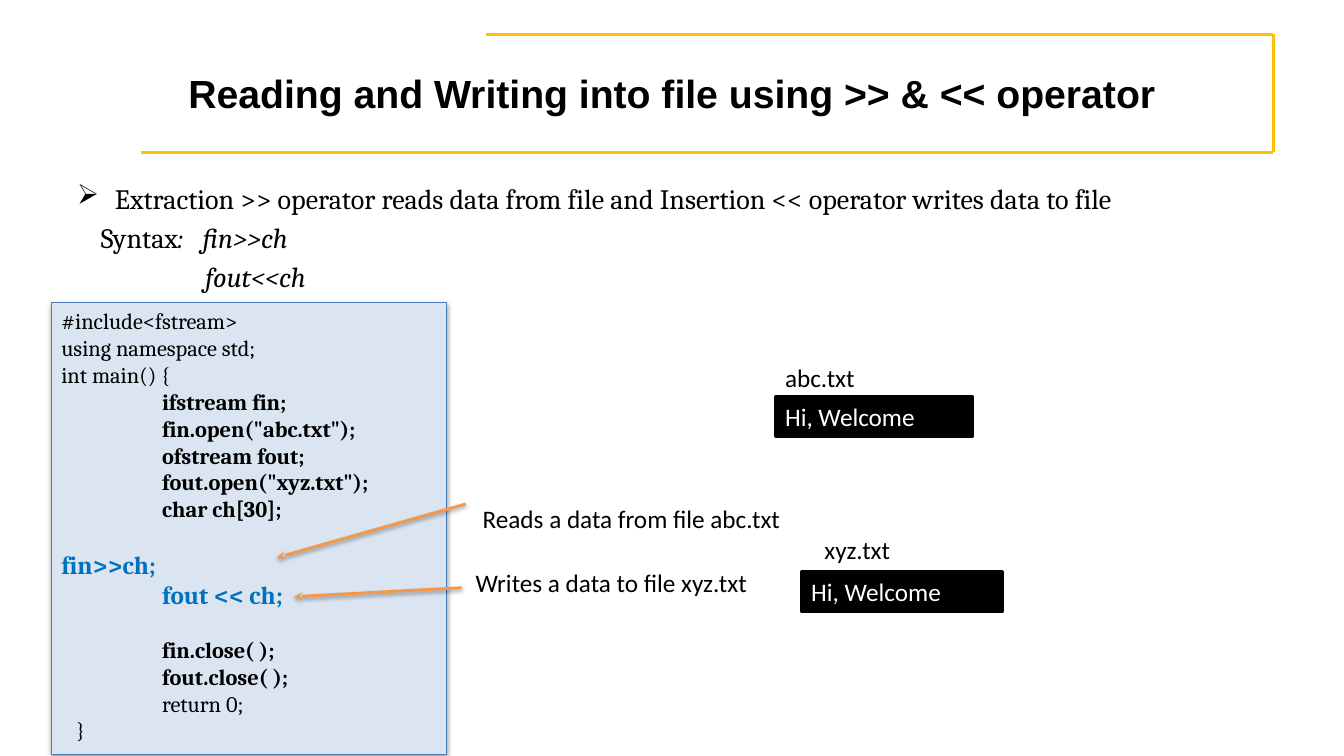
from dataclasses import dataclass, field

from lxml.etree import SubElement as Sub
from pptx import Presentation
from pptx.dml.color import RGBColor as Rgb
from pptx.enum.shapes import MSO_CONNECTOR as Conn, MSO_SHAPE as Kind
from pptx.enum.text import MSO_ANCHOR as Anchor, PP_ALIGN as Align
from pptx.oxml.ns import qn
from pptx.slide import Slide
from pptx.util import Pt

HUES = {
    "black": "000000", "white": "FFFFFF", "gold": "FFC100", "pale": "DAE5F1",
    "edge": "4A7DBA", "blue": "0070C0", "orange": "F79646",
}
TITLE = {"name": "Arial", "size": Pt(28), "bold": True}
BODY = {"name": "Cambria", "size": Pt(20)}
CODE = {"name": "Cambria", "size": Pt(16)}
NOTE = {"name": "Calibri", "size": Pt(18)}
BOLD = {"bold": True}
SLANT = {"italic": True}
KEY = {"bold": True, "size": Pt(18)}
TAB = 72
GAP = 19


@dataclass
class Run:
    text: str
    form: dict = field(default_factory=dict)
    hue: str = ""


@dataclass
class Para:
    runs: list[Run]
    left: float = 0
    first: float = 0
    before: float = 0
    mark: str = ""


@dataclass
class Box:
    left: float
    top: float
    width: float
    height: float
    paras: list[Para]
    form: dict
    hue: str = "black"
    fill: str = ""
    edge: str = ""
    line: float = 2
    shade: bool = False
    center: bool = False


@dataclass
class Line:
    start: tuple[float, float]
    end: tuple[float, float]
    hue: str
    arrow: bool = False


def color(name: str) -> Rgb:
    return Rgb.from_string(HUES[name])


def add_glow(props, shade: bool) -> None:
    """Set a soft drop shadow, or none."""
    for old in props.findall(qn("a:effectLst")):
        props.remove(old)
    effect = Sub(props, qn("a:effectLst"))
    if shade:
        drop = Sub(effect, qn("a:outerShdw"), blurRad=str(Pt(3.1)),
                   dist=str(Pt(1.6)), dir="5400000", rotWithShape="0")
        tone = Sub(drop, qn("a:srgbClr"), val=HUES["black"])
        Sub(tone, qn("a:alpha"), val="38000")


def add_para(para, spec: Para, box: Box) -> None:
    para.alignment = Align.CENTER if box.center else Align.LEFT
    para.space_before = Pt(spec.before)
    props = para._p.get_or_add_pPr()
    props.set("marL", str(Pt(spec.left)))
    props.set("indent", str(Pt(spec.first)))
    if spec.mark:
        Sub(props, qn("a:buChar"), char=spec.mark)
    for item in spec.runs:
        run = para.add_run()
        run.text = item.text
        for key, value in (box.form | item.form).items():
            setattr(run.font, key, value)
        run.font.color.rgb = color(item.hue or box.hue)


def add_box(slide: Slide, box: Box) -> None:
    area = [Pt(n) for n in (box.left, box.top, box.width, box.height)]
    if box.fill:
        shape = slide.shapes.add_shape(Kind.RECTANGLE, *area)
        shape.shadow.inherit = False
        shape.fill.solid()
        shape.fill.fore_color.rgb = color(box.fill)
        shape.line.color.rgb = color(box.edge)
        shape.line.width = Pt(box.line)
        add_glow(shape._element.spPr, box.shade)
    else:
        shape = slide.shapes.add_textbox(*area)
    frame = shape.text_frame
    frame.word_wrap = True
    frame.vertical_anchor = Anchor.MIDDLE if box.center else Anchor.TOP
    for i, spec in enumerate(box.paras):
        para = frame.add_paragraph() if i else frame.paragraphs[0]
        add_para(para, spec, box)


def add_line(slide: Slide, line: Line) -> None:
    ends = [Pt(n) for n in (*line.start, *line.end)]
    link = slide.shapes.add_connector(Conn.STRAIGHT, *ends)
    link.line.color.rgb = color(line.hue)
    link.line.width = Pt(2)
    if line.arrow:
        Sub(link.line._ln, qn("a:tailEnd"), type="stealth")
    add_glow(link._element.spPr, line.arrow)


def plain(text: str, left: float = 0, form: dict | None = None,
          hue: str = "", before: float = 0) -> Para:
    return Para([Run(text, form or {}, hue)], left, before=before)


# Gold frame around the title
EDGE = [(347, 24.5), (909.4, 24.5), (909.4, 108.7), (100.8, 108.7)]
FRAME = [Line(a, b, "gold") for a, b in zip(EDGE, EDGE[1:])]

# Title and syntax
HEAD = [
    Box(48, 21.6, 864, 90,
        [plain("Reading and Writing into file using >> & << operator")],
        TITLE, center=True),
    Box(48, 126, 864, 93, [
        Para([Run("Extraction >> operator reads data from file and "
                  "Insertion << operator writes data to file")],
             27, -27, mark="➢"),
        Para([Run("Syntax"), Run(":\tfin>>ch", SLANT)], 89.5, -72.5, 4),
        plain("fout<<ch", 91.7, SLANT, before=4),
    ], BODY),
]

# Program listing
OPEN = ["ifstream fin;", 'fin.open("abc.txt");', "ofstream fout;",
        'fout.open("xyz.txt");', "char ch[30];"]
LIST = [
    *map(plain, ["#include<fstream>", "using namespace std;", "int main() {"]),
    *(plain(text, TAB, BOLD) for text in OPEN),
    plain("fin>>ch;", 0, KEY, "blue", GAP),
    plain("fout << ch;", TAB, KEY, "blue"),
    plain("fin.close( );", TAB, BOLD, before=GAP),
    plain("fout.close( );", TAB, BOLD),
    plain("return 0;", TAB),
    plain("}", 10.7),
]
CARD = Box(36.7, 216, 282.3, 322.6, LIST, CODE, fill="pale", edge="edge",
           line=0.75, shade=True)

# File contents, labels and arrows
FILES = [Box(x, y, w, 29, [plain("Hi, Welcome")], NOTE, "white",
             "black", "black")
         for x, y, w in [(553.7, 283, 141.3), (572.4, 408.2, 144)]]
NOTES = [Box(x, y, w, 29, [plain(text)], NOTE) for text, x, y, w in [
    ("abc.txt", 553.7, 254.9, 84.2),
    ("xyz.txt", 581.8, 378, 84.2),
    ("Reads a data from file abc.txt", 337.7, 355.7, 229.7),
    ("Writes a data to file xyz.txt", 332.6, 401.8, 210.2),
]]
ARROWS = [Line((332.6, 360), (198, 398.2), "orange", True),
          Line((329.8, 419.8), (210.2, 426.2), "orange", True)]


def main() -> None:
    deck = Presentation()
    deck.slide_width, deck.slide_height = Pt(960), Pt(540)
    slide = deck.slides.add_slide(deck.slide_layouts[6])
    for line in FRAME:
        add_line(slide, line)
    for box in [*HEAD, CARD, *FILES, *NOTES]:
        add_box(slide, box)
    for line in ARROWS:
        add_line(slide, line)
    deck.save("out.pptx")


if __name__ == "__main__":
    main()
